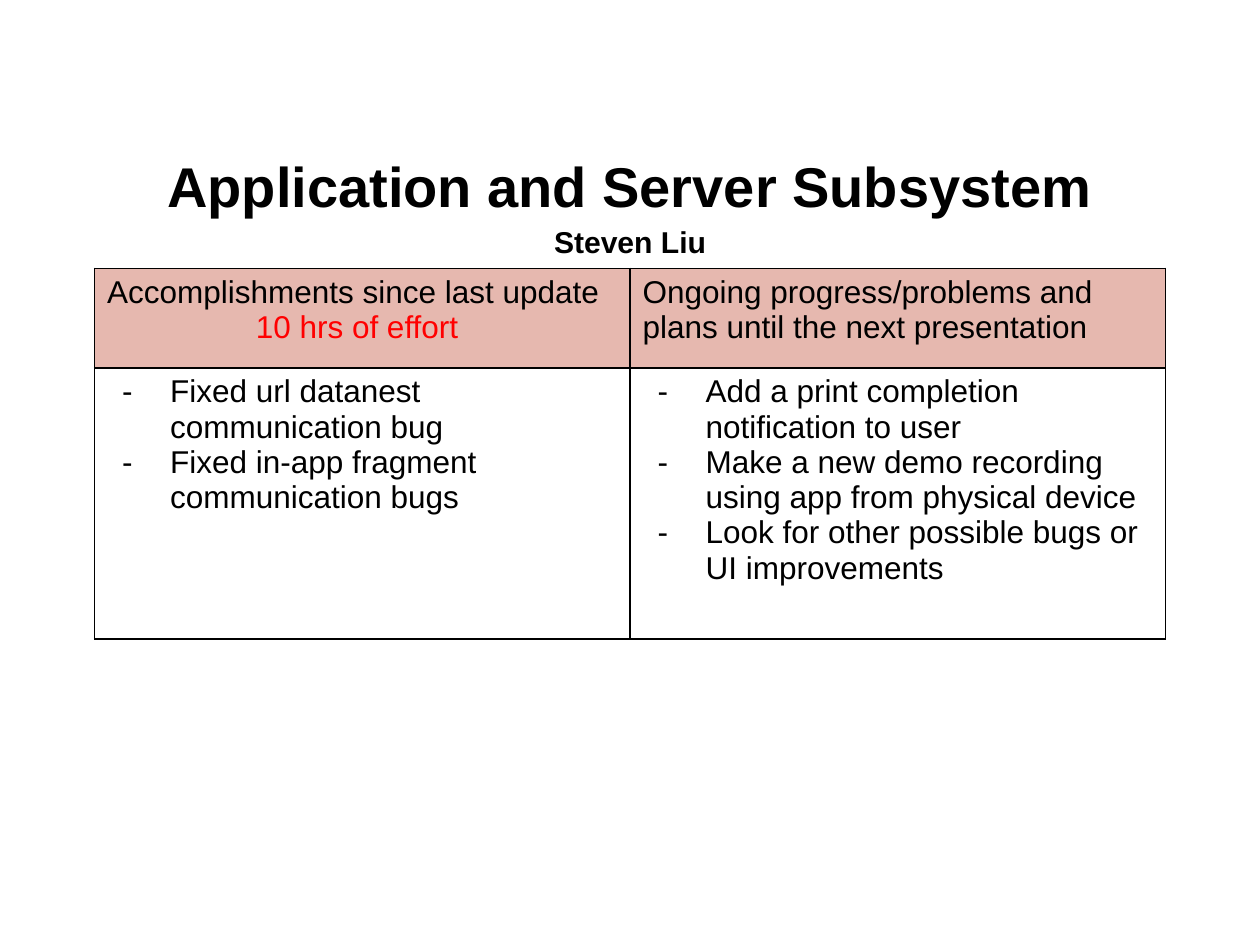
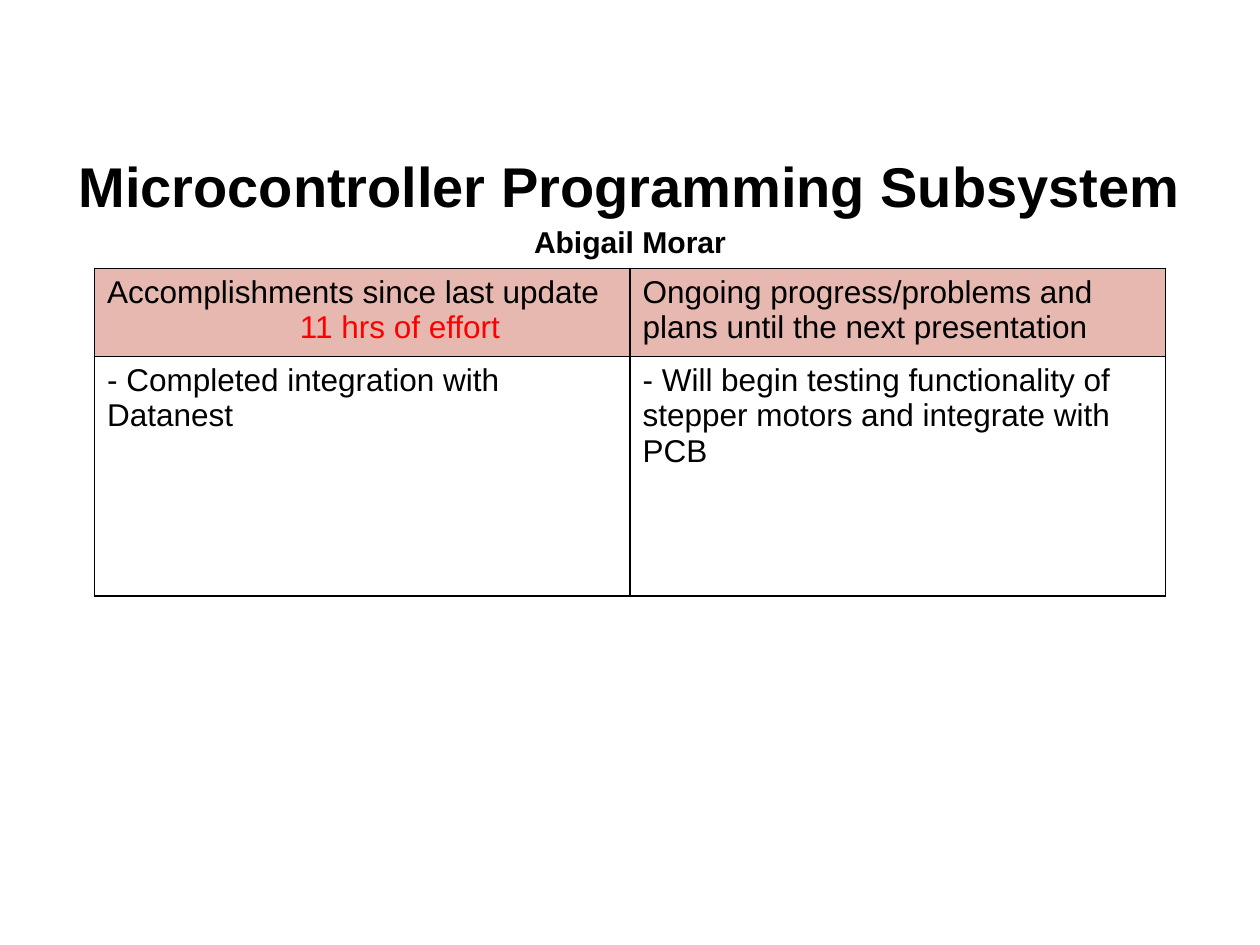
from lxml import etree
from pptx import Presentation
from pptx.dml.color import RGBColor
from pptx.enum.text import MSO_ANCHOR, PP_ALIGN
from pptx.oxml.ns import qn
from pptx.util import Inches, Pt

CENTER = PP_ALIGN.CENTER
MIDDLE = MSO_ANCHOR.MIDDLE

DONE = "Accomplishments since last update"
NEXT = "Ongoing progress/problems and plans until the next presentation"
SLIDES = [
    {
        "title": "Application and Server Subsystem",
        "name": "Steven Liu",
        "effort": "10 hrs of effort",
        "shift": 1.18,
        "rows": (0.79, 2.15),
        "bullet": "-",
        "done": ["Fixed url datanest communication bug",
                 "Fixed in-app fragment communication bugs"],
        "next": ["Add a print completion notification to user",
                 "Make a new demo recording using app from physical device",
                 "Look for other possible bugs or UI improvements"],
    },
    {
        "title": "Microcontroller Programming Subsystem",
        "name": "Abigail Morar",
        "effort": "11 hrs of effort",
        "shift": 1.53,
        "rows": (0.7, 1.9),
        "bullet": None,
        "done": ["- Completed integration with Datanest"],
        "next": ["- Will begin testing functionality of stepper motors "
                 "and integrate with PCB"],
    },
]

BLACK, RED, PINK = "000000", "FF0000", "E6B8AF"
TITLE = {"size": Pt(32), "bold": True}
NAME = {"size": Pt(17.2), "bold": True}
BODY = {"size": Pt(18), "bold": False}
PAD = {"margin_left": Inches(0.1), "margin_right": Inches(0.1),
       "margin_top": Inches(0.05), "margin_bottom": Inches(0.05)}
COLS = (4.25, 4.25)


def color(code):
    return RGBColor.from_string(code)


def apply(target, values):
    for key, value in values.items():
        setattr(target, key, value)


def write(para, text, font, code=BLACK):
    run = para.add_run()
    run.text = text
    apply(run.font, {"name": "Arial", **font})
    run.font.color.rgb = color(code)


def lines(frame, items):
    for i, item in enumerate(items):
        para = frame.add_paragraph() if i else frame.paragraphs[0]
        write(para, *item)
        yield para


def indent(para, left, first):
    props = para._p.get_or_add_pPr()
    props.set("marL", str(Inches(left)))
    props.set("indent", str(Inches(first)))
    return props


def bullet(para, mark):
    props = indent(para, 0.5, -0.38)
    tint = etree.SubElement(props, qn("a:buClr"))
    etree.SubElement(tint, qn("a:srgbClr"), val=BLACK)
    etree.SubElement(props, qn("a:buFont"), typeface="Arial")
    etree.SubElement(props, qn("a:buChar"), char=mark)


def border(cell):
    props = cell._tc.get_or_add_tcPr()
    for side in ("lnL", "lnR", "lnT", "lnB"):
        line = etree.SubElement(props, qn("a:" + side), w=str(Pt(1)))
        fill = etree.SubElement(line, qn("a:solidFill"))
        etree.SubElement(fill, qn("a:srgbClr"), val=BLACK)


def heading(slide, data):
    box = slide.shapes.add_textbox(Inches(0.5), Inches(1.15),
                                   Inches(9), Inches(0.88))
    frame = box.text_frame
    apply(frame, {"word_wrap": True, "vertical_anchor": MIDDLE, **PAD})
    for para in lines(frame, [(data["title"], TITLE), (data["name"], NAME)]):
        apply(para, {"alignment": CENTER, "line_spacing": 1.15})


def report(slide, data):
    rows = data["rows"]
    table = slide.shapes.add_table(len(rows), len(COLS), Inches(0.75), Inches(2.13),
                                   Inches(sum(COLS)), Inches(sum(rows))).table
    apply(table, {"first_row": False, "horz_banding": False})
    for col, width in zip(table.columns, COLS):
        col.width = Inches(width)
    for row, height in zip(table.rows, rows):
        row.height = Inches(height)
    for cell in table.iter_cells():
        apply(cell, PAD)
        border(cell)
        cell.fill.background()
    heads = ([(DONE, BODY), (data["effort"], BODY, RED)], [(NEXT, BODY)])
    for c, (head, key) in enumerate(zip(heads, ("done", "next"))):
        top = table.cell(0, c)
        top.fill.solid()
        top.fill.fore_color.rgb = color(PINK)
        for para in list(lines(top.text_frame, head))[1:]:
            indent(para, data["shift"], 0)
        tasks = [(text, BODY) for text in data[key]]
        for para in lines(table.cell(1, c).text_frame, tasks):
            if data["bullet"]:
                bullet(para, data["bullet"])


def main():
    deck = Presentation()
    apply(deck, {"slide_width": Inches(10), "slide_height": Inches(7.5)})
    for data in SLIDES:
        slide = deck.slides.add_slide(deck.slide_layouts[6])
        heading(slide, data)
        report(slide, data)
    deck.save("out.pptx")


if __name__ == "__main__":
    main()
